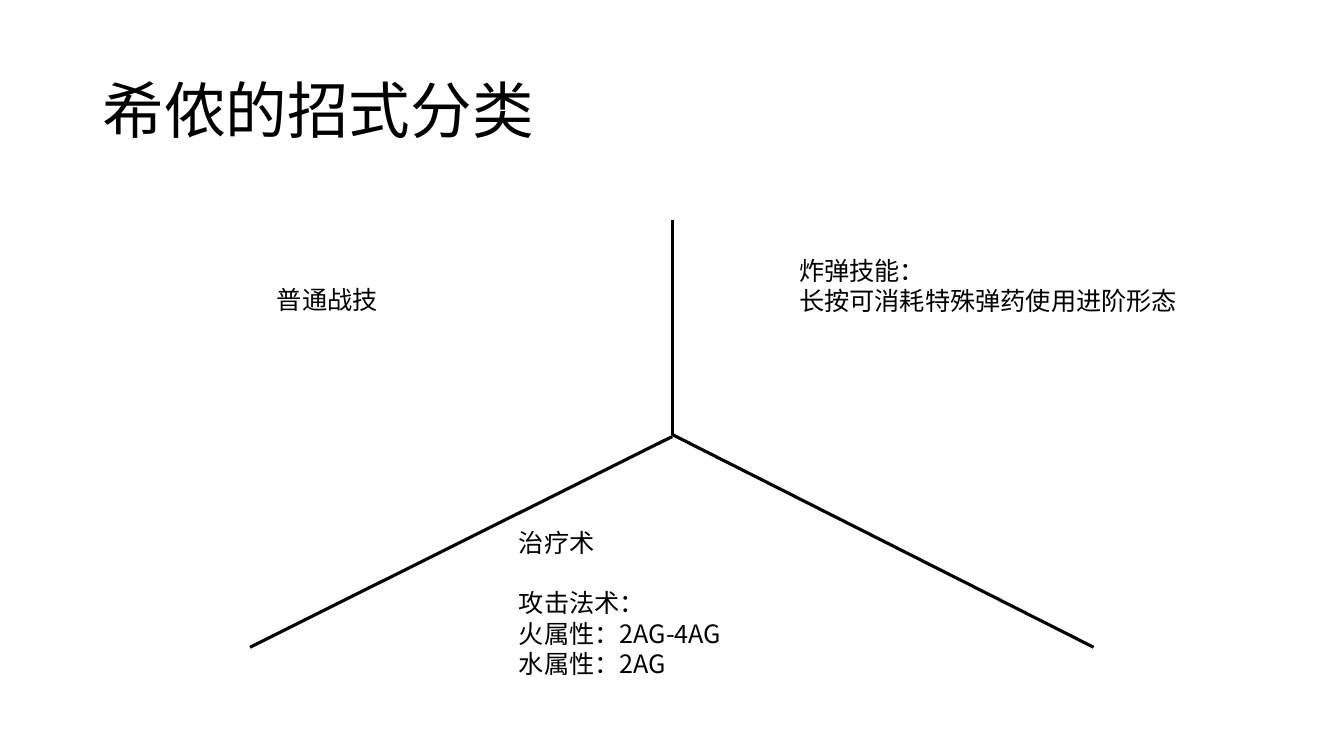
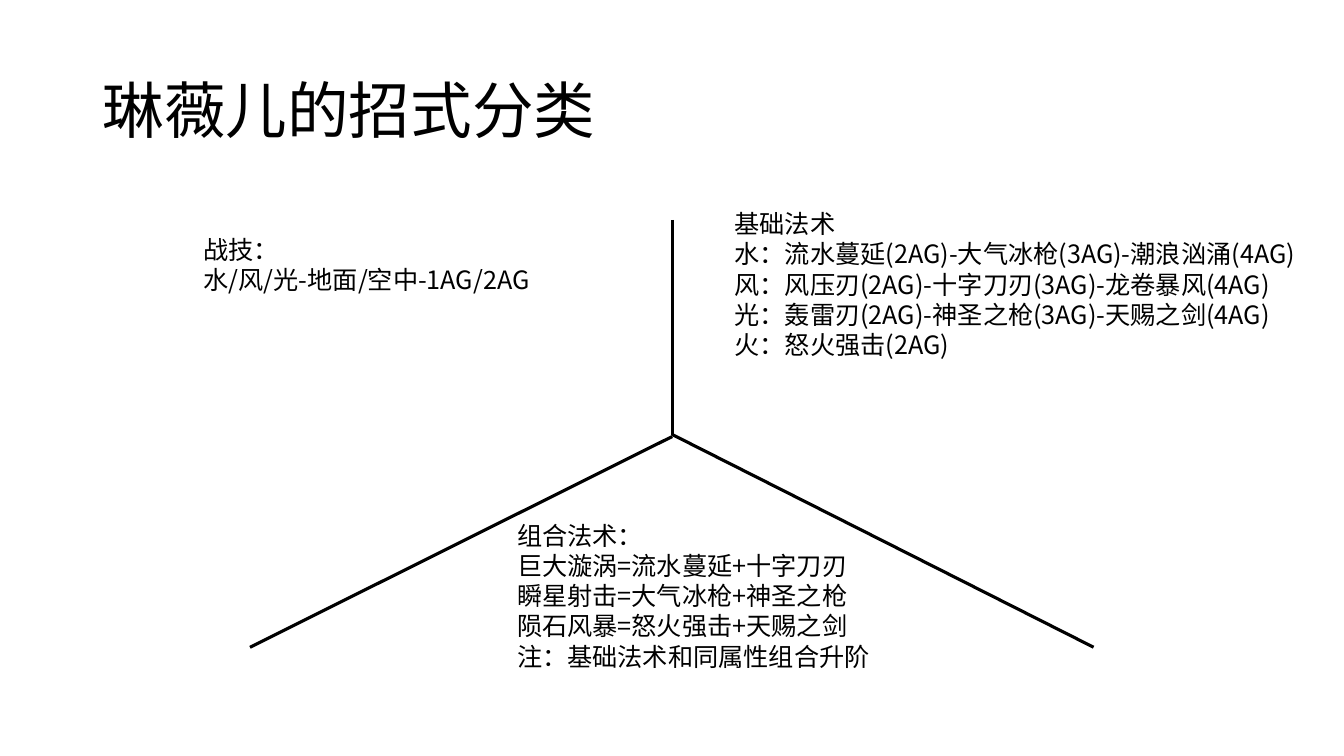
"""Build two slides that sort each fighter's moves into three sectors."""
from dataclasses import dataclass

from lxml.etree import SubElement
from pptx import Presentation
from pptx.dml.color import RGBColor
from pptx.enum.shapes import MSO_CONNECTOR
from pptx.enum.text import MSO_ANCHOR, MSO_AUTO_SIZE, PP_ALIGN
from pptx.oxml.ns import qn
from pptx.util import Cm, Pt


@dataclass(frozen=True)
class Theme:
    """Hold the colours, type sizes and line weights of the slides."""
    ink: RGBColor = RGBColor(0, 0, 0)
    font: str = "Noto Sans CJK SC"
    title_size: Pt = Pt(44)
    body_size: Pt = Pt(18)
    body_leading: Pt = Pt(21.6)
    line_width: Pt = Pt(2.25)


THEME = Theme()
TITLE_ONLY = 5
TITLE_BOX = {"left": Cm(2.33), "top": Cm(1.01), "width": Cm(29.21), "height": Cm(3.68)}
DIVIDERS = (
    ((16.94, 5.54), (16.94, 10.95)),
    ((16.94, 11), (6.3, 16.31)),
    ((16.94, 10.95), (27.56, 16.31)),
)
SLIDES = (
    ("希侬的招式分类", (
        ((6.73, 7.04, 3.2, 1.02), (("普通战技",),)),
        ((19.89, 6.3, 10.3, 1.8), (("炸弹技能：", "长按可消耗特殊弹药使用进阶形态"),)),
        ((12.83, 13.16, 6, 4.11), (
            ("治疗术",),
            ("攻击法术：", "火属性：2AG-4AG", "水属性：2AG"),
        )),
    )),
    ("琳薇儿的招式分类", (
        ((4.88, 5.77, 8.97, 1.8), (("战技：", "水/风/光-地面/空中-1AG/2AG"),)),
        ((18.26, 5.13, 14.8, 4.11), ((
            "基础法术",
            "水：流水蔓延(2AG)-大气冰枪(3AG)-潮浪汹涌(4AG)",
            "风：风压刃(2AG)-十字刀刃(3AG)-龙卷暴风(4AG)",
            "光：轰雷刃(2AG)-神圣之枪(3AG)-天赐之剑(4AG)",
            "火：怒火强击(2AG)",
        ),)),
        ((12.78, 12.98, 9.6, 4.11), ((
            "组合法术：",
            "巨大漩涡=流水蔓延+十字刀刃",
            "瞬星射击=大气冰枪+神圣之枪",
            "陨石风暴=怒火强击+天赐之剑",
            "注：基础法术和同属性组合升阶",
        ),)),
    )),
)


def apply_format(target, values):
    """Set every attribute named in values on the target."""
    for name, value in values.items():
        setattr(target, name, value)


def write_paragraph(paragraph, text, size, values):
    """Write one run of themed text and format its paragraph."""
    run = paragraph.add_run()
    run.text = text
    apply_format(run.font, {"size": size, "name": THEME.font})
    run.font.color.rgb = THEME.ink
    properties = run.font._element
    SubElement(properties, qn("a:ea")).set("typeface", THEME.font)
    apply_format(paragraph, {"alignment": PP_ALIGN.LEFT, **values})


def write_title(slide, text):
    """Move the title placeholder and write the title."""
    title = slide.shapes.title
    apply_format(title, TITLE_BOX)
    apply_format(title.text_frame, {
        "vertical_anchor": MSO_ANCHOR.MIDDLE,
        "auto_size": MSO_AUTO_SIZE.NONE,
        "word_wrap": True,
    })
    write_paragraph(title.text_frame.paragraphs[0], text, THEME.title_size,
                    {"line_spacing": 0.9})


def add_divider(slide, start, end):
    """Draw one straight line between two sectors."""
    points = [Cm(value) for value in (*start, *end)]
    connector = slide.shapes.add_connector(MSO_CONNECTOR.STRAIGHT, *points)
    connector.line.color.rgb = THEME.ink
    connector.line.width = THEME.line_width
    SubElement(connector._element.spPr, qn("a:effectLst"))


def add_moves(slide, box, groups):
    """Add a text box of move groups set one line apart."""
    frame = slide.shapes.add_textbox(*map(Cm, box)).text_frame
    apply_format(frame, {"word_wrap": True, "auto_size": MSO_AUTO_SIZE.SHAPE_TO_FIT_TEXT})
    paragraph = frame.paragraphs[0]
    for group_index, group in enumerate(groups):
        for move_index, move in enumerate(group):
            if group_index or move_index:
                paragraph = frame.add_paragraph()
            starts_group = group_index > 0 and move_index == 0
            write_paragraph(paragraph, move, THEME.body_size, {
                "line_spacing": THEME.body_leading,
                "space_before": THEME.body_leading if starts_group else Pt(0),
            })


def main():
    """Build and save the presentation."""
    presentation = Presentation()
    apply_format(presentation, {"slide_width": Cm(33.87), "slide_height": Cm(19.05)})
    for title, sectors in SLIDES:
        slide = presentation.slides.add_slide(presentation.slide_layouts[TITLE_ONLY])
        write_title(slide, title)
        for start, end in DIVIDERS:
            add_divider(slide, start, end)
        for box, groups in sectors:
            add_moves(slide, box, groups)
    presentation.save("out.pptx")


main()
